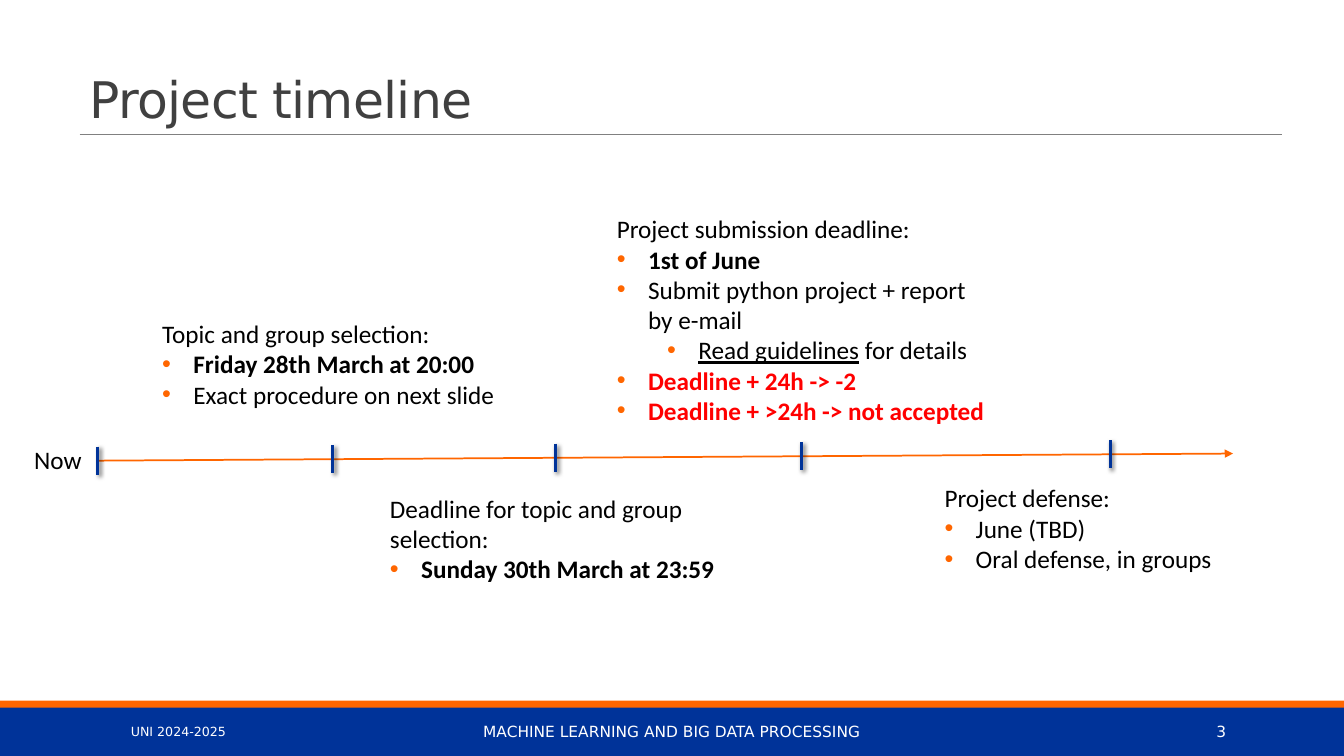
import dataclasses

import lxml.etree
import pptx
import pptx.dml.color
import pptx.enum.shapes
import pptx.enum.text
import pptx.oxml
import pptx.oxml.ns
import pptx.util

ALIGN = pptx.enum.text.PP_ALIGN
ANCHOR = pptx.enum.text.MSO_ANCHOR
BLUE, ORANGE, RED = "003399", "FF6600", "FF0000"
BLACK, WHITE, GREY, DARK = "000000", "FFFFFF", "808080", "404040"
BODY_FONT, HEAD_FONT = "Calibri", "DejaVu Sans"


@dataclasses.dataclass
class Box:
    """A region whose inner areas are given in percent of its size."""
    left: float
    top: float
    width: float
    height: float

    def point(self, x, y):
        return int(self.left + self.width * x / 100), int(self.top + self.height * y / 100)

    def area(self, x, y, width, height):
        return Box(*self.point(x, y), int(self.width * width / 100), int(self.height * height / 100))

    def bounds(self):
        return self.left, self.top, self.width, self.height


def color(hex_string):
    return pptx.dml.color.RGBColor.from_string(hex_string)


def format_span(span, size, font, hex_string, bold=None, underline=None):
    span.font.size = pptx.util.Pt(size)
    span.font.name = font
    span.font.color.rgb = color(hex_string)
    span.font.bold = bold
    span.font.underline = underline


def add_bar(page, box, fill):
    bar = page.shapes.add_shape(pptx.enum.shapes.MSO_SHAPE.RECTANGLE, *box.bounds())
    bar.shadow.inherit = False
    bar.fill.solid()
    bar.fill.fore_color.rgb = color(fill)
    bar.line.fill.background()


def add_line(page, start, end, stroke, weight):
    line = page.shapes.add_connector(pptx.enum.shapes.MSO_CONNECTOR.STRAIGHT, *start, *end)
    line.line.color.rgb = color(stroke)
    line.line.width = pptx.util.Pt(weight)
    effects = lxml.etree.SubElement(line._element.spPr, pptx.oxml.ns.qn("a:effectLst"))
    return line, effects


def add_bullet(para, level):
    para.level = level
    props = para._p.get_or_add_pPr()
    props.set("marL", str(pptx.util.Inches(0.31 + 0.5 * level)))
    props.set("indent", str(pptx.util.Inches(-0.31)))
    namespace = pptx.oxml.ns.nsdecls("a")
    for xml in (f'<a:buClr {namespace}><a:srgbClr val="{ORANGE}"/></a:buClr>',
                f'<a:buFont {namespace} typeface="Arial"/>',
                f'<a:buChar {namespace} char="•"/>'):
        props.append(pptx.oxml.parse_xml(xml))


def add_note(page, box, heading, items=(), wrap=True):
    """Heading line, then bullets given as (level, spans of (text, style))."""
    note = page.shapes.add_textbox(*box.bounds())
    frame = note.text_frame
    frame.word_wrap = wrap
    frame.auto_size = pptx.enum.text.MSO_AUTO_SIZE.SHAPE_TO_FIT_TEXT
    frame.text = heading
    format_span(frame.paragraphs[0].runs[0], 18, BODY_FONT, BLACK)
    for level, spans in items:
        para = frame.add_paragraph()
        add_bullet(para, level)
        for text, style in spans:
            span = para.add_run()
            span.text = text
            format_span(span, 18, BODY_FONT, RED if style == "alert" else BLACK,
                        style in ("bold", "alert"), style == "underline")


def fill_header(page, box):
    add_line(page, box.point(5.93, 88.67), box.point(95.42, 88.67), GREY, 0.5)
    title = page.shapes.title
    title.left, title.top, title.width, title.height = box.area(5.93, -17.33, 89.5, 106).bounds()
    frame = title.text_frame
    frame.text = "Project timeline"
    frame.word_wrap = True
    frame.auto_size = pptx.enum.text.MSO_AUTO_SIZE.NONE
    frame.vertical_anchor = ANCHOR.BOTTOM
    para = frame.paragraphs[0]
    para.alignment = ALIGN.LEFT
    para.line_spacing = 0.85
    format_span(para.runs[0], 36, HEAD_FONT, DARK)
    para.runs[0]._r.get_or_add_rPr().set("spc", "-50")


def fill_timeline(page, box):
    # Axis, rising slightly to the right
    start_x, start_y, end_x, end_y = 7.28, 58.48, 91.75, 57.14
    axis, _ = add_line(page, box.point(start_x, start_y), box.point(end_x, end_y), ORANGE, 1.25)
    stroke = axis._element.spPr.find(pptx.oxml.ns.qn("a:ln"))
    lxml.etree.SubElement(stroke, pptx.oxml.ns.qn("a:tailEnd")).set("type", "triangle")

    # Ticks centred on the axis
    for x in (start_x, 24.76, 41.34, 59.64, 82.6):
        y = start_y + (end_y - start_y) * (x - start_x) / (end_x - start_x)
        _, effects = add_line(page, box.point(x, y - 2.67), box.point(x, y + 2.67), BLUE, 2)
        effects.append(pptx.oxml.parse_xml(
            f'<a:outerShdw {pptx.oxml.ns.nsdecls("a")} blurRad="{pptx.util.Pt(3)}" '
            f'dist="{pptx.util.Pt(2)}" dir="2700000"><a:srgbClr val="{BLACK}">'
            '<a:alpha val="60000"/></a:srgbClr></a:outerShdw>'))

    # Milestones
    add_note(page, box.area(1.8, 54.48, 5.1, 7.62), "Now", wrap=False)
    add_note(page, box.area(11.33, 30.67, 30, 19.24), "Topic and group selection:", [
        (0, [("Friday 28th March at 20:00", "bold")]),
        (0, [("Exact procedure on next slide", "")])])
    add_note(page, box.area(28.28, 63.62, 26.11, 19.24), "Deadline for topic and group selection:", [
        (0, [("Sunday 30th March at 23:59", "bold")])])
    add_note(page, box.area(45.16, 10.86, 28.88, 42.29), "Project submission deadline:", [
        (0, [("1st of June", "bold")]),
        (0, [("Submit python project + report by e-mail", "")]),
        (1, [("Read guidelines", "underline"), (" for details", "")]),
        (0, [("Deadline + 24h -> -2", "alert")]),
        (0, [("Deadline + >24h -> not accepted", "alert")])])
    add_note(page, box.area(69.54, 61.71, 26.11, 19.24), "Project defense:", [
        (0, [("June (TBD)", "")]),
        (0, [("Oral defense, in groups", "")])])


def fill_footer(page, box):
    # Bands
    add_bar(page, box.area(0, 11, 100, 89), BLUE)
    add_bar(page, box.area(0, 0, 100, 12.7), ORANGE)

    # Labels
    for text, x, width, size, align in (
            ("UNI 2024-2025", 9, 21.23, 9, ALIGN.LEFT),
            ("MACHINE LEARNING AND BIG DATA PROCESSING", 30.23, 39.53, 11, ALIGN.CENTER),
            ("3", 81.25, 10.73, 11, ALIGN.RIGHT)):
        label = page.shapes.add_textbox(*box.area(x, 20, width, 72.7).bounds())
        frame = label.text_frame
        frame.word_wrap = True
        frame.vertical_anchor = ANCHOR.MIDDLE
        frame.text = text
        frame.paragraphs[0].alignment = align
        format_span(frame.paragraphs[0].runs[0], size, HEAD_FONT, WHITE)


def main():
    deck = pptx.Presentation()
    deck.slide_width = pptx.util.Inches(13.33)
    deck.slide_height = pptx.util.Inches(7.5)
    page = deck.slides.add_slide(deck.slide_layouts.get_by_name("Title Only"))
    whole = Box(0, 0, deck.slide_width, deck.slide_height)
    fill_footer(page, whole.area(0, 92.67, 100, 7.33))
    fill_header(page, whole.area(0, 0, 100, 20))
    fill_timeline(page, whole.area(0, 20, 100, 70))
    deck.save("out.pptx")


if __name__ == "__main__":
    main()
